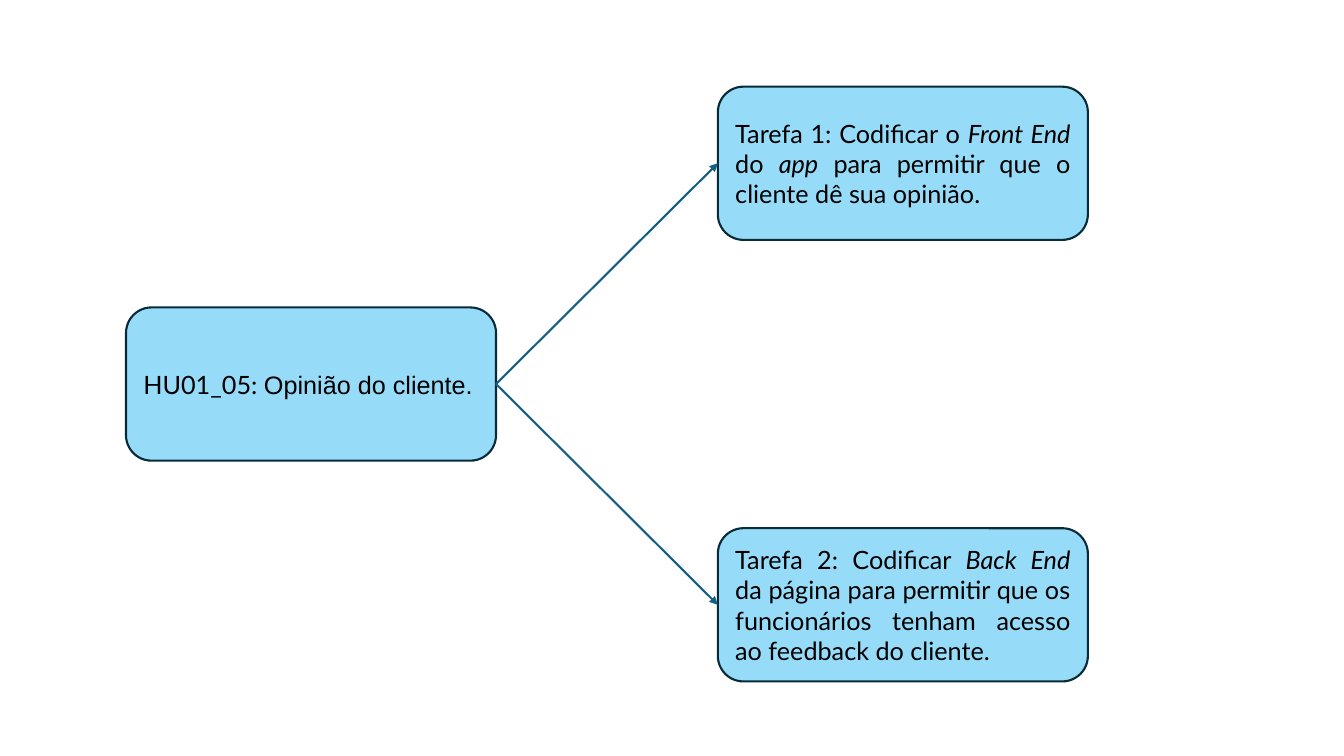
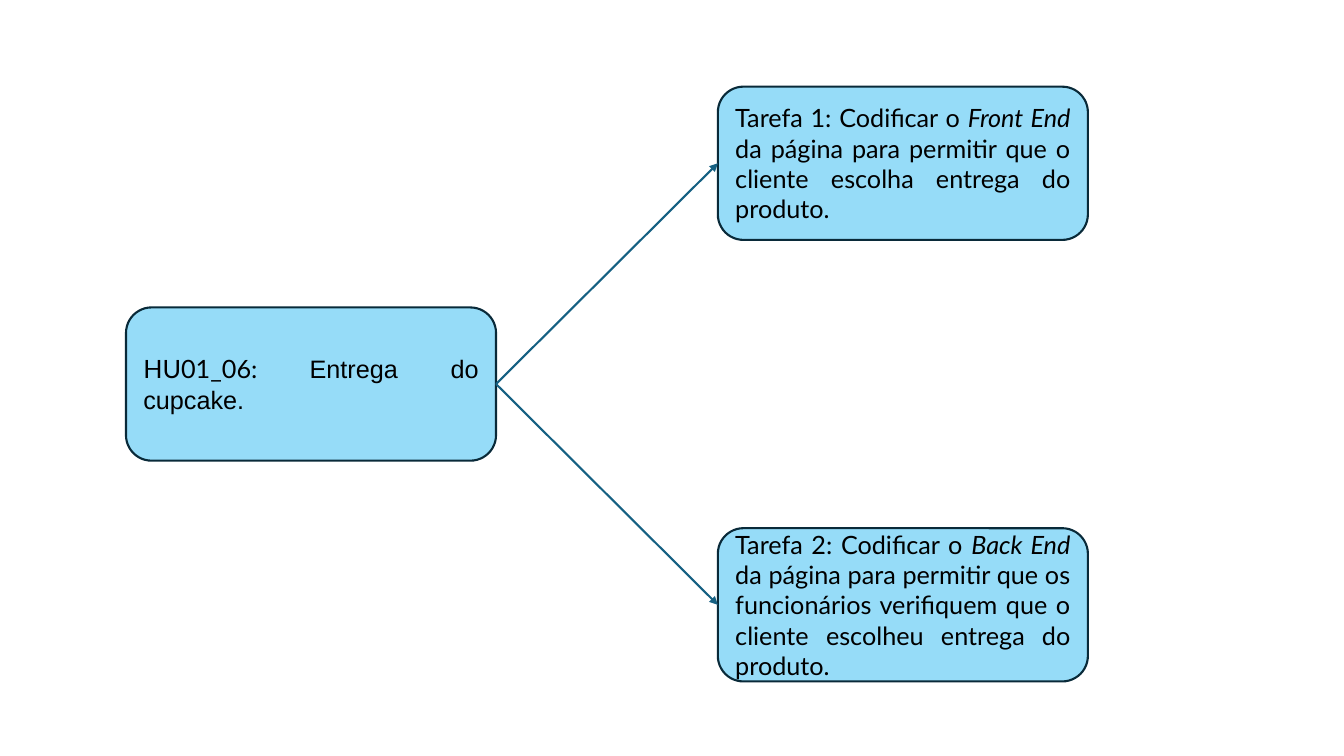
from lxml.etree import SubElement
from pptx import Presentation
from pptx.dml.color import RGBColor
from pptx.enum.shapes import MSO_CONNECTOR, MSO_SHAPE
from pptx.enum.text import MSO_ANCHOR, PP_ALIGN
from pptx.oxml.ns import qn
from pptx.util import Pt

STORIES = [
    {
        "code": "HU01_05: ",
        "name": "Opinião do cliente.",
        "tasks": [
            "Tarefa 1: Codificar o *Front End *do *app* para permitir que o cliente dê sua opinião.",
            "Tarefa 2: Codificar *Back End *da página para permitir que os funcionários tenham acesso ao feedback do cliente.",
        ],
    },
    {
        "code": "HU01_06: ",
        "name": "Entrega do cupcake.",
        "tasks": [
            "Tarefa 1: Codificar o *Front End *da página para permitir que o cliente escolha entrega do produto.",
            "Tarefa 2: Codificar o *Back End *da página para permitir que os funcionários verifiquem que o cliente escolheu entrega do produto.",
        ],
    },
]

PX = 9144
SLIDE_W, SLIDE_H = 1333, 750
CARD_W, CARD_H = 367, 152
STORY_X, STORY_Y = 125, 305
TASK_X, TASK_OFFSET = 712, 219

CARD_FILL, CARD_EDGE = "96DCF8", "092A39"
ARROW, INK = "156082", "000000"
TASK_FONT, STORY_FONT = "Lato", "Arial"
STROKE, TEXT_SIZE = Pt(1.5), Pt(18)
RIGHT_SIDE, LEFT_SIDE = 3, 1


def px(length):
    return length * PX


def color(code):
    return RGBColor.from_string(code)


def add_card(slide, x, y):
    card = slide.shapes.add_shape(
        MSO_SHAPE.ROUNDED_RECTANGLE, px(x), px(y), px(CARD_W), px(CARD_H))
    card.shadow.inherit = False
    card.fill.solid()
    card.fill.fore_color.rgb = color(CARD_FILL)
    card.line.color.rgb = color(CARD_EDGE)
    card.line.width = STROKE
    card.text_frame.word_wrap = True
    card.text_frame.vertical_anchor = MSO_ANCHOR.MIDDLE
    paragraph = card.text_frame.paragraphs[0]
    paragraph.alignment = PP_ALIGN.JUSTIFY
    paragraph.font.size = TEXT_SIZE
    paragraph.font.color.rgb = color(INK)
    return card, paragraph


def add_run(paragraph, text, font=TASK_FONT, italic=False):
    run = paragraph.add_run()
    run.text = text
    run.font.name = font
    run.font.color.rgb = color(INK)
    run.font.size = TEXT_SIZE
    if italic:
        run.font.italic = True


def add_story(slide, code, name):
    card, paragraph = add_card(slide, STORY_X, STORY_Y)
    add_run(paragraph, code)
    add_run(paragraph, name, STORY_FONT)
    return card


def add_task(slide, y, text):
    card, paragraph = add_card(slide, TASK_X, y)
    for position, part in enumerate(text.split("*")):
        add_run(paragraph, part, italic=position % 2 == 1)
    return card


def add_arrow(slide, story, task):
    arrow = slide.shapes.add_connector(MSO_CONNECTOR.STRAIGHT, 0, 0, 0, 0)
    arrow.begin_connect(story, RIGHT_SIDE)
    arrow.end_connect(task, LEFT_SIDE)
    arrow.line.color.rgb = color(ARROW)
    arrow.line.width = STROKE
    SubElement(arrow.line._get_or_add_ln(), qn("a:tailEnd"), type="triangle")
    SubElement(arrow._element.spPr, qn("a:effectLst"))


def main():
    deck = Presentation()
    deck.slide_width, deck.slide_height = px(SLIDE_W), px(SLIDE_H)
    for content in STORIES:
        slide = deck.slides.add_slide(deck.slide_layouts[6])
        story = add_story(slide, content["code"], content["name"])
        for direction, text in zip((-1, 1), content["tasks"]):
            task = add_task(slide, STORY_Y + direction * TASK_OFFSET, text)
            add_arrow(slide, story, task)
    deck.save("out.pptx")


if __name__ == "__main__":
    main()
